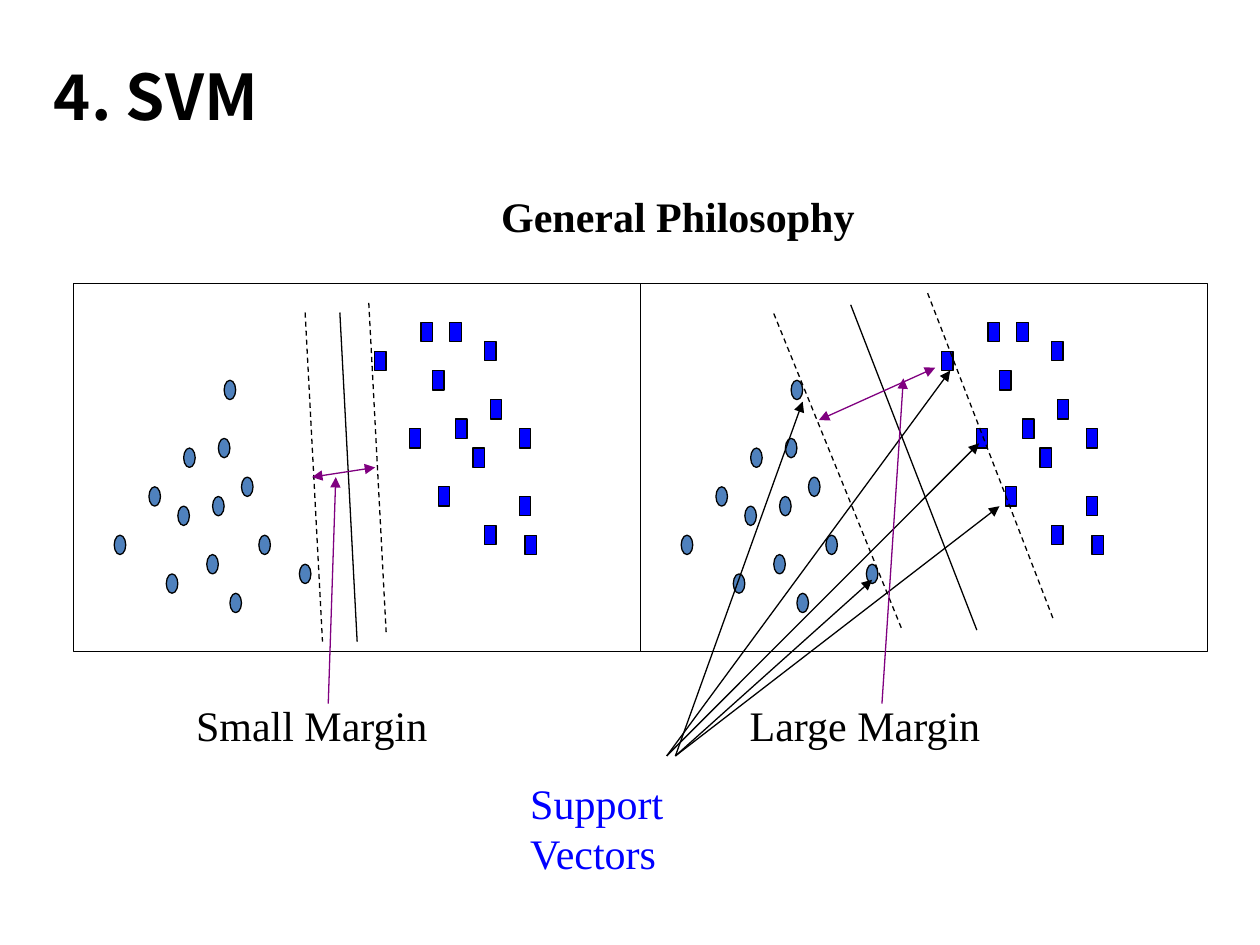
from dataclasses import dataclass

from lxml.etree import SubElement
from pptx import Presentation
from pptx.dml.color import RGBColor
from pptx.enum.dml import MSO_LINE_DASH_STYLE as Dash
from pptx.enum.shapes import MSO_CONNECTOR as Connector, MSO_SHAPE as Shape
from pptx.enum.text import MSO_ANCHOR as Anchor
from pptx.oxml.ns import qn
from pptx.util import Inches, Pt


@dataclass(frozen=True)
class Theme:
    black: str = "000000"
    circle: str = "4F81BD"
    square: str = "0000FF"
    margin: str = "800080"
    title_font: str = "Noto Sans CJK SC"
    body_font: str = "Times New Roman"
    title_size: int = 36
    body_size: int = 24
    line_width: float = 0.75


@dataclass(frozen=True)
class Box:
    """An area in inches, divided into columns and rows."""
    left: float
    top: float
    width: float
    height: float
    columns: int = 1
    rows: int = 1

    def point(self, column, row):
        return (Inches(self.left + self.width * column / self.columns),
                Inches(self.top + self.height * row / self.rows))

    def size(self, columns, rows):
        return (Inches(self.width * columns / self.columns),
                Inches(self.height * rows / self.rows))

    def area(self, column, row, columns, rows):
        return *self.point(column, row), *self.size(columns, rows)


THEME = Theme()
PAGE = Box(0, 0, 10, 7.5, 100, 100)
PANEL_COLUMNS, PANEL_ROWS = 98, 38
MARK_CELLS = 2

# Sample positions as (column, row) of a panel
CIRCLES = [(16, 30), (18, 23), (7, 26), (13, 21), (23, 28), (19, 17), (24, 22),
           (25, 16), (29, 20), (32, 26), (27, 32), (39, 29), (26, 10)]
SQUARES = [(58, 15), (52, 7), (60, 4), (63, 21), (62, 9), (66, 14), (65, 4),
           (71, 6), (69, 17), (72, 12), (71, 25), (77, 15), (77, 22), (78, 26)]


def add_text(shapes, area, text, size=THEME.body_size, font=THEME.body_font,
             color=THEME.black, bold=False, anchor=Anchor.TOP):
    frame = shapes.add_textbox(*area).text_frame
    frame.word_wrap = True
    frame.vertical_anchor = anchor
    run = frame.paragraphs[0].add_run()
    run.text = text
    run.font.size = Pt(size)
    run.font.name = font
    run.font.bold = bold
    run.font.color.rgb = RGBColor.from_string(color)


def add_outlined(shapes, kind, area, fill=None):
    shape = shapes.add_shape(kind, *area)
    shape.shadow.inherit = False
    if fill:
        shape.fill.solid()
        shape.fill.fore_color.rgb = RGBColor.from_string(fill)
    else:
        shape.fill.background()
    shape.line.color.rgb = RGBColor.from_string(THEME.black)
    shape.line.width = Pt(THEME.line_width)


def add_line(shapes, box, start, end, color=THEME.black, dashed=False, arrows=()):
    """Arrows holds "headEnd" for the start and "tailEnd" for the end."""
    line = shapes.add_connector(Connector.STRAIGHT, *box.point(*start), *box.point(*end))
    line.line.color.rgb = RGBColor.from_string(color)
    line.line.width = Pt(THEME.line_width)
    if dashed:
        line.line.dash_style = Dash.DASH
    for arrow in arrows:
        SubElement(line.line._get_or_add_ln(), qn(f"a:{arrow}"), type="triangle")
    SubElement(line._element.spPr, qn("a:effectLst"))


def add_panel(slide, box, boundary, edges):
    """Both classes of samples, the frame and the separating lines."""
    shapes = slide.shapes.add_group_shape().shapes
    for kind, fill, samples in ((Shape.OVAL, THEME.circle, CIRCLES),
                                (Shape.RECTANGLE, THEME.square, SQUARES)):
        for column, row in samples:
            add_outlined(shapes, kind, box.area(column, row, MARK_CELLS, MARK_CELLS), fill)
    add_outlined(shapes, Shape.RECTANGLE, box.area(0, 0, box.columns, box.rows))
    for edge in edges:
        add_line(shapes, box, *edge, dashed=True)
    add_line(shapes, box, *boundary)


def add_margin(slide, box, label, label_column, span, pointer):
    """A double arrow across the margin, and a label pointing to it."""
    shapes = slide.shapes.add_group_shape().shapes
    add_text(shapes, box.area(label_column, 42.3, 46, 6.5), label)
    add_line(shapes, box, *span, color=THEME.margin, arrows=("headEnd", "tailEnd"))
    add_line(shapes, box, *pointer, color=THEME.margin, arrows=("tailEnd",))


def add_support_vectors(slide, box):
    """A label with arrows fanning out to the samples on the margin."""
    shapes = slide.shapes.add_group_shape().shapes
    add_text(shapes, PAGE.area(41.1, 81.6, 22, 6.67), "Support Vectors", color=THEME.square)
    left_origin, right_origin = (4.5, 48.8), (6, 48.8)
    fans = {left_origin: [(53.5, 9), (58.5, 16.5)],
            right_origin: [(62, 23), (40, 30.6), (28, 12.2)]}
    for origin, targets in fans.items():
        for target in targets:
            add_line(shapes, box, origin, target, arrows=("tailEnd",))


def add_headings(slide):
    add_text(slide.shapes, PAGE.area(3.3, 5.6, 94.2, 8.93), "4. SVM", bold=True,
             size=THEME.title_size, font=THEME.title_font, anchor=Anchor.MIDDLE)
    add_text(slide.shapes, PAGE.area(38.8, 19.47, 30.3, 6.67), "General Philosophy", bold=True)


def main():
    deck = Presentation()
    deck.slide_width, deck.slide_height = PAGE.size(PAGE.columns, PAGE.rows)
    slide = deck.slides.add_slide(deck.slide_layouts[6])

    small, large = (Box(0.585 + 4.5 * i, 2.25, 4.5, 2.92, PANEL_COLUMNS, PANEL_ROWS)
                    for i in range(2))

    add_headings(slide)
    # Separating lines in each panel
    add_panel(slide, small, boundary=((46, 3), (49, 37)),
              edges=[((51, 2), (54, 36)), ((40, 3), (43, 37))])
    add_panel(slide, large, boundary=((36.3, 2.2), (58.1, 35.8)),
              edges=[((23, 3.1), (45.2, 35.8)), ((49.6, 1), (71.4, 34.8))])
    # Annotations
    add_support_vectors(slide, large)
    add_margin(slide, small, "Small Margin", 19, span=((41.2, 20), (52.1, 19)),
               pointer=((44, 43.4), (45.3, 20)))
    add_margin(slide, large, "Large Margin", 16.7, span=((30.8, 14.1), (50.9, 8.7)),
               pointer=((41.7, 43.4), (45.4, 9.8)))

    deck.save("out.pptx")


if __name__ == "__main__":
    main()
